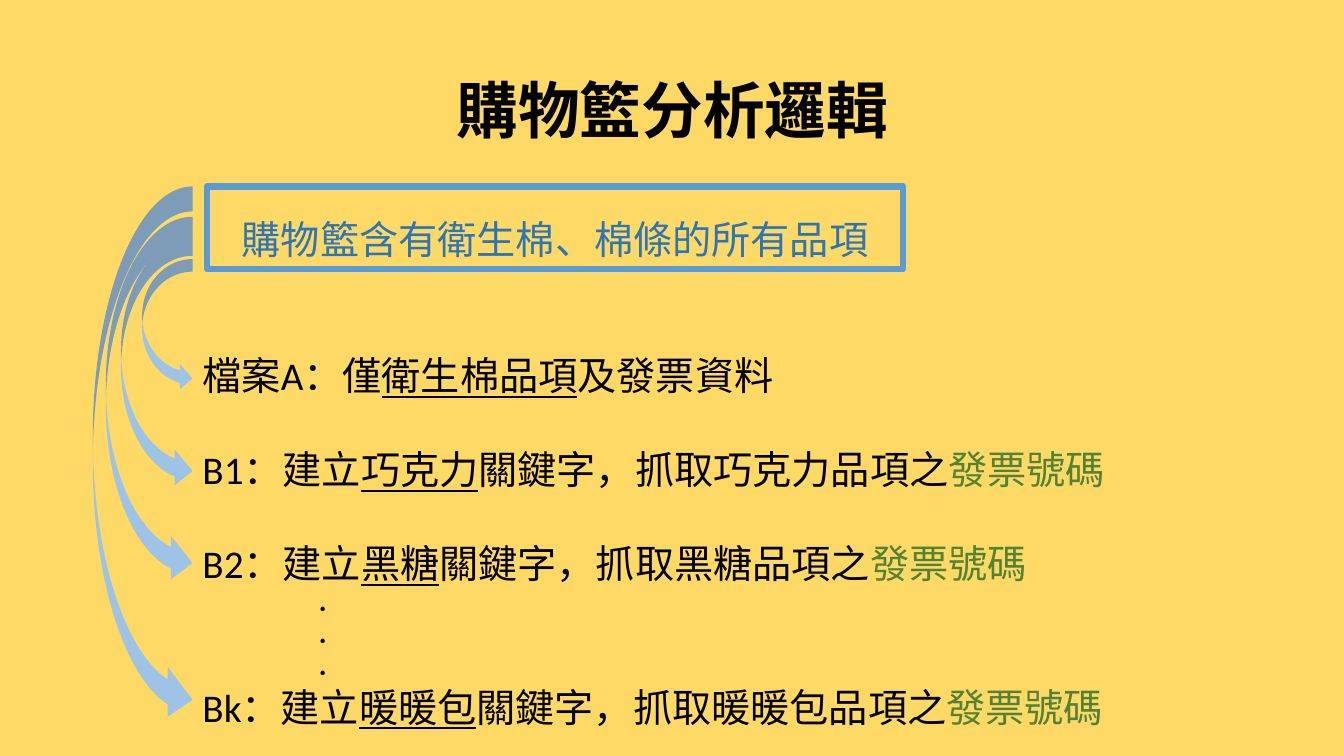
from pptx import Presentation
from pptx.dml.color import RGBColor
from pptx.enum.shapes import MSO_SHAPE
from pptx.enum.text import MSO_ANCHOR, MSO_AUTO_SIZE, PP_ALIGN
from pptx.util import Inches, Pt

COLORS = {
    "background": "FFD966", "text": "000000", "basket": "2E75B6",
    "border": "5B9BD5", "arrow": "9DC3E6", "invoice": "548235",
}
TITLE = "購物籃分析邏輯"
BASKET = "購物籃含有衛生棉、棉條的所有品項"
# Plain start, underlined keyword, plain middle, green ending
FILES = [
    ("檔案A：僅", "衛生棉品項", "及發票資料", ""),
    ("B1：建立", "巧克力", "關鍵字，抓取巧克力品項之", "發票號碼"),
    ("B2：建立", "黑糖", "關鍵字，抓取黑糖品項之", "發票號碼"),
    ("Bk：建立", "暖暖包", "關鍵字，抓取暖暖包品項之", "發票號碼"),
]
DOT, DOT_COUNT = "﹒", 3
ARROW_RIGHT = 1.91
# Width, top, height
ARROWS = [(0.5, 2.57, 1.31), (0.71, 2.36, 2.49), (0.86, 2.15, 3.65), (0.99, 1.85, 5.34)]


def color(name):
    return RGBColor.from_string(COLORS[name])


def style(para, size, name="text", font="Calibri"):
    para.font.size = Pt(size)
    para.font.name = font
    para.font.color.rgb = color(name)


def add_title(page):
    box = page.shapes.add_textbox(Inches(0.92), Inches(0.4), Inches(11.5), Inches(1.45))
    frame = box.text_frame
    frame.word_wrap = True
    frame.vertical_anchor = MSO_ANCHOR.MIDDLE
    para = frame.paragraphs[0]
    para.text = TITLE
    para.alignment = PP_ALIGN.CENTER
    para.line_spacing = 0.9
    style(para, 44)
    para.font.bold = True


def add_basket(page):
    box = page.shapes.add_shape(
        MSO_SHAPE.RECTANGLE, Inches(2.05), Inches(1.85), Inches(6.91), Inches(0.82))
    box.shadow.inherit = False
    box.fill.background()
    box.line.color.rgb = color("border")
    box.line.width = Pt(4.5)
    frame = box.text_frame
    frame.word_wrap = True
    frame.vertical_anchor = MSO_ANCHOR.TOP
    para = frame.paragraphs[0]
    para.text = BASKET
    para.alignment = PP_ALIGN.CENTER
    para.line_spacing = 1.5
    para.space_before = Pt(10)
    style(para, 28, "basket", "Noto Sans CJK SC")


def add_file_line(para, parts):
    start, keyword, middle, invoice = parts
    style(para, 28)
    for text in (start, keyword, middle, invoice):
        if text:
            span = para.add_run()
            span.text = text
            if text == keyword:
                span.font.underline = True
            if text == invoice:
                span.font.color.rgb = color("invoice")


def add_files(page):
    box = page.shapes.add_textbox(Inches(1.91), Inches(3.44), Inches(9.25), Inches(3.9))
    frame = box.text_frame
    frame.word_wrap = False
    frame.auto_size = MSO_AUTO_SIZE.SHAPE_TO_FIT_TEXT
    add_file_line(frame.paragraphs[0], FILES[0])
    for parts in FILES[1:-1]:
        para = frame.add_paragraph()
        para.space_before = Pt(33.5)
        add_file_line(para, parts)
    for _ in range(DOT_COUNT):
        para = frame.add_paragraph()
        para.text = DOT
        para.line_spacing = Pt(23)
        para._p.get_or_add_pPr().set("marL", str(Inches(1)))
        style(para, 28)
    add_file_line(frame.add_paragraph(), FILES[-1])


def add_arrows(page):
    for width, top, height in ARROWS:
        arrow = page.shapes.add_shape(
            MSO_SHAPE.CURVED_RIGHT_ARROW,
            Inches(ARROW_RIGHT - width), Inches(top), Inches(width), Inches(height))
        arrow.shadow.inherit = False
        arrow.fill.solid()
        arrow.fill.fore_color.rgb = color("arrow")
        arrow.line.fill.background()


def main():
    deck = Presentation()
    deck.slide_width, deck.slide_height = Inches(13.33), Inches(7.5)
    page = deck.slides.add_slide(deck.slide_layouts[6])
    page.background.fill.solid()
    page.background.fill.fore_color.rgb = color("background")
    add_title(page)
    add_basket(page)
    add_files(page)
    add_arrows(page)
    deck.save("out.pptx")


if __name__ == "__main__":
    main()
